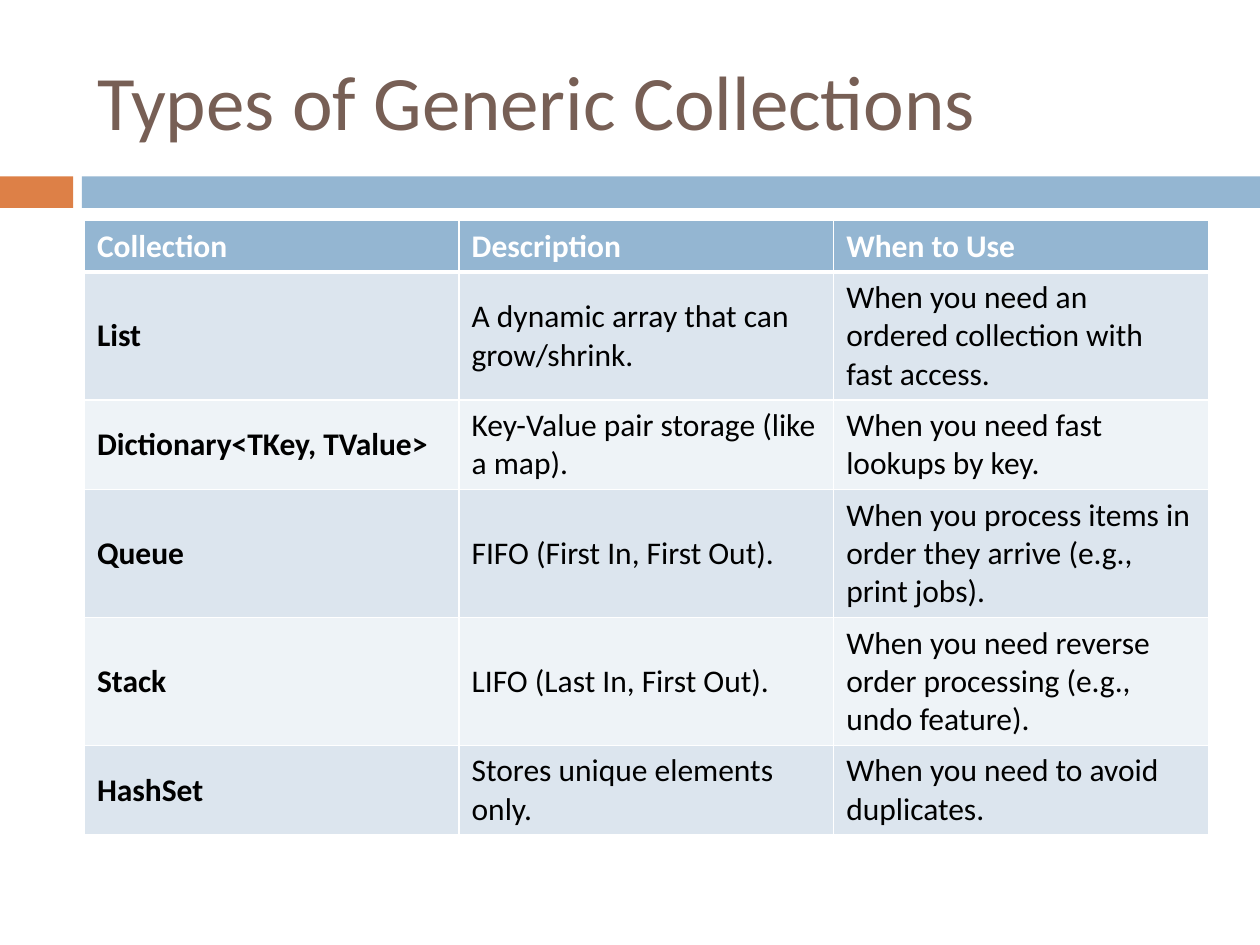
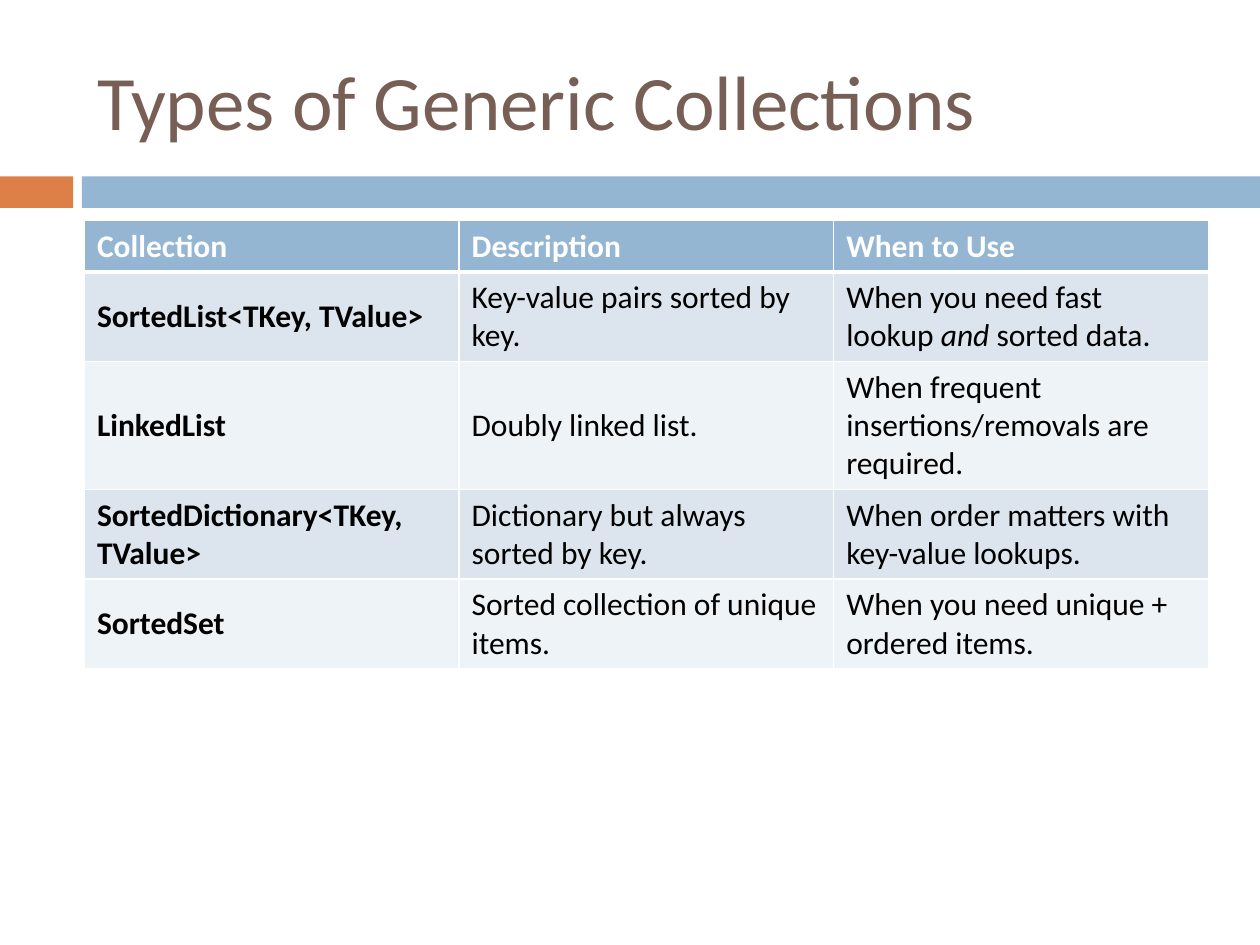
"""Build two slides that tabulate the generic collection types."""
from lxml.etree import SubElement
from pptx import Presentation
from pptx.dml.color import RGBColor
from pptx.enum.shapes import MSO_SHAPE
from pptx.enum.text import MSO_ANCHOR, PP_ALIGN
from pptx.oxml.ns import qn
from pptx.util import Inches, Pt

ORANGE = RGBColor(0xDD, 0x80, 0x47)
BLUE = RGBColor(0x94, 0xB6, 0xD2)
BROWN = RGBColor(0x77, 0x5F, 0x55)
ODD_ROW = RGBColor(0xDC, 0xE5, 0xEE)
EVEN_ROW = RGBColor(0xEE, 0xF3, 0xF7)
WHITE = RGBColor(0xFF, 0xFF, 0xFF)
BLACK = RGBColor(0x00, 0x00, 0x00)
FONT = "Calibri"
TITLE = "Types of Generic Collections"
HEADER = ("Collection", "Description", "When to Use")
LEFT, WIDTH = Inches(0.67), Inches(8.92)
BAND_TOP, BAND_HEIGHT = Inches(1.4), Inches(0.25)
TABLE_TOP, ROW_HEIGHT = Inches(1.75), Inches(0.41)
BANDS = ((0, 0.58, ORANGE), (0.65, 9.35, BLUE))

TABLES = (
    (
        ("List", "A dynamic array that can grow/shrink.",
         "When you need an ordered collection with fast access."),
        ("Dictionary<TKey, TValue>", "Key-Value pair storage (like a map).",
         "When you need fast lookups by key."),
        ("Queue", "FIFO (First In, First Out).",
         "When you process items in order they arrive (e.g., print jobs)."),
        ("Stack", "LIFO (Last In, First Out).",
         "When you need reverse order processing (e.g., undo feature)."),
        ("HashSet", "Stores unique elements only.",
         "When you need to avoid duplicates."),
    ),
    (
        ("SortedList<TKey, TValue>", "Key-value pairs sorted by key.",
         "When you need fast lookup *and* sorted data."),
        ("LinkedList", "Doubly linked list.",
         "When frequent insertions/removals are required."),
        ("SortedDictionary<TKey, TValue>", "Dictionary but always sorted by key.",
         "When order matters with key-value lookups."),
        ("SortedSet", "Sorted collection of unique items.",
         "When you need unique + ordered items."),
    ),
)


def set_borders(cell, top, bottom):
    tc_pr = cell._tc.get_or_add_tcPr()
    for side, width in (("L", 1), ("R", 1), ("T", top), ("B", bottom)):
        ln = SubElement(tc_pr, qn(f"a:ln{side}"), w=str(Pt(width)))
        fill = SubElement(ln, qn("a:solidFill"))
        SubElement(fill, qn("a:srgbClr"), val=str(WHITE))


def fill_cell(cell, text, row, col):
    set_borders(cell, 3 if row == 1 else 1, 3 if row == 0 else 1)
    cell.fill.solid()
    cell.fill.fore_color.rgb = BLUE if row == 0 else ODD_ROW if row % 2 else EVEN_ROW
    cell.vertical_anchor = MSO_ANCHOR.MIDDLE
    p = cell.text_frame.paragraphs[0]
    for i, part in enumerate(text.split("*")):
        r = p.add_run()
        r.text = part
        r.font.name, r.font.size = FONT, Pt(18)
        r.font.bold = row == 0 or col == 0
        r.font.italic = i % 2 == 1
        r.font.color.rgb = WHITE if row == 0 else BLACK


prs = Presentation()
prs.slide_width, prs.slide_height = Inches(10), Inches(7.5)

for body in TABLES:
    s = prs.slides.add_slide(prs.slide_layouts[5])

    for left, width, color in BANDS:
        sp = s.shapes.add_shape(MSO_SHAPE.RECTANGLE, Inches(left), BAND_TOP,
                                Inches(width), BAND_HEIGHT)
        sp.shadow.inherit = False
        sp.fill.solid()
        sp.fill.fore_color.rgb = color
        sp.line.fill.background()

    title = s.shapes.title
    title.left, title.top = LEFT, Inches(0.25)
    title.width, title.height = WIDTH, Inches(1.08)
    tf = title.text_frame
    tf.text = TITLE
    tf.vertical_anchor = MSO_ANCHOR.MIDDLE
    p = tf.paragraphs[0]
    p.alignment = PP_ALIGN.LEFT
    font = p.runs[0].font
    font.name, font.size = FONT, Pt(44)
    font.color.rgb = BROWN

    rows = (HEADER, *body)
    table = s.shapes.add_table(len(rows), len(HEADER), LEFT, TABLE_TOP,
                               WIDTH, ROW_HEIGHT * len(rows)).table
    for row, texts in enumerate(rows):
        for col, text in enumerate(texts):
            fill_cell(table.cell(row, col), text, row, col)

prs.save("out.pptx")
